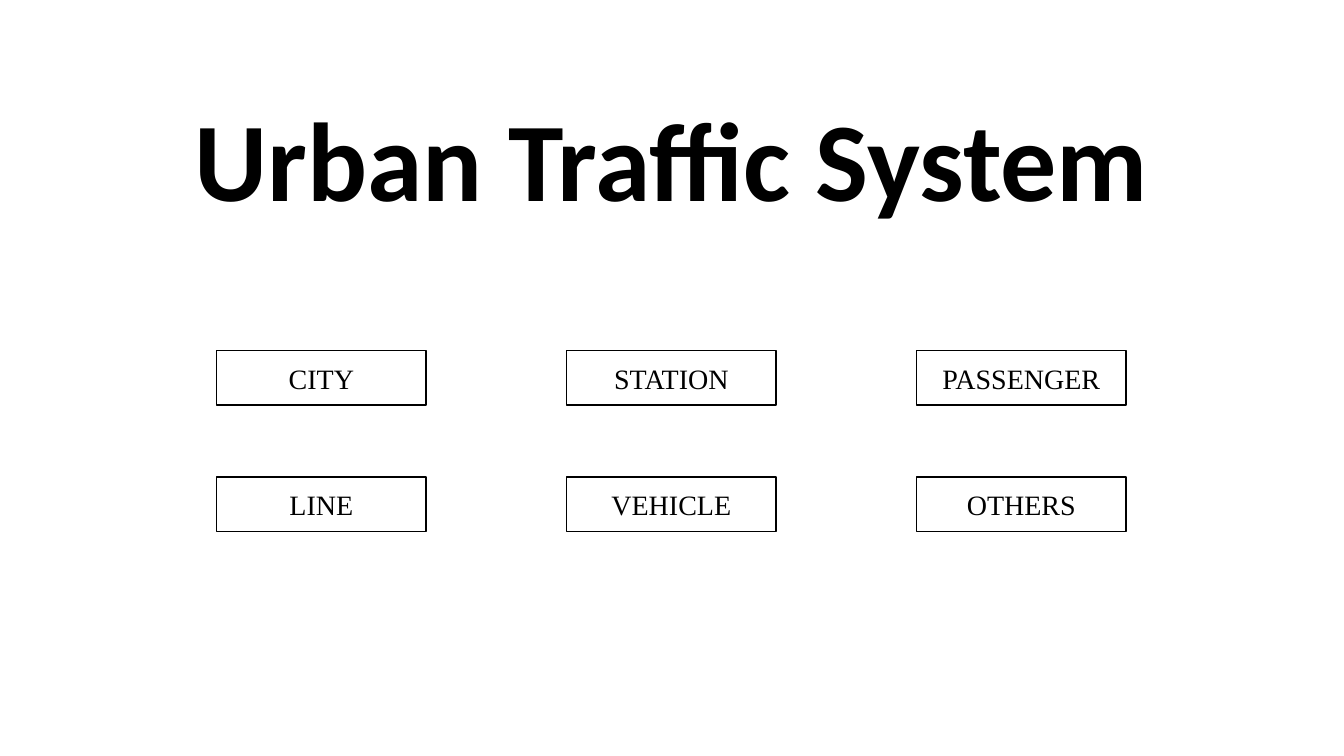
from dataclasses import dataclass

from pptx import Presentation
from pptx.dml.color import RGBColor
from pptx.enum import shapes, text
from pptx.util import Cm, Pt


@dataclass(frozen=True)
class Theme:
    ink: RGBColor = RGBColor(0, 0, 0)
    paper: RGBColor = RGBColor(255, 255, 255)
    title_font: str = "Calibri"
    box_font: str = "Times New Roman"
    title_size: int = 80
    box_size: int = 20
    line_width: int = 1


theme = Theme()


def write(sp, words, *, font, size, bold=False, anchor=text.MSO_ANCHOR.MIDDLE,
          fit=text.MSO_AUTO_SIZE.NONE):
    tf = sp.text_frame
    tf.word_wrap = True
    tf.auto_size = fit
    tf.vertical_anchor = anchor
    p = tf.paragraphs[0]
    p.alignment = text.PP_ALIGN.CENTER
    r = p.add_run()
    r.text = words
    r.font.name = font
    r.font.size = Pt(size)
    r.font.bold = bold
    r.font.color.rgb = theme.ink


prs = Presentation()
prs.slide_width, prs.slide_height = Cm(33.87), Cm(19.05)
s = prs.slides.add_slide(prs.slide_layouts[5])
s.background.fill.solid()
s.background.fill.fore_color.rgb = theme.paper

# Title
title = s.shapes.title
title.left, title.top = Cm(4.04), Cm(2.13)
title.width, title.height = Cm(25.78), Cm(3.68)
write(title, "Urban Traffic System", font=theme.title_font,
      size=theme.title_size, bold=True, anchor=text.MSO_ANCHOR.TOP,
      fit=text.MSO_AUTO_SIZE.SHAPE_TO_FIT_TEXT)

# Grid of parts of the system
parts = [["CITY", "STATION", "PASSENGER"],
         ["LINE", "VEHICLE", "OTHERS"]]
left, top = 5.46, 8.84
column_step, row_step = 8.82, 3.18
for row, names in enumerate(parts):
    for column, name in enumerate(names):
        sp = s.shapes.add_shape(
            shapes.MSO_SHAPE.RECTANGLE,
            Cm(left + column * column_step), Cm(top + row * row_step),
            Cm(5.28), Cm(1.37))
        sp.shadow.inherit = False
        sp.fill.background()
        sp.line.color.rgb = theme.ink
        sp.line.width = Pt(theme.line_width)
        write(sp, name, font=theme.box_font, size=theme.box_size)

prs.save("out.pptx")
